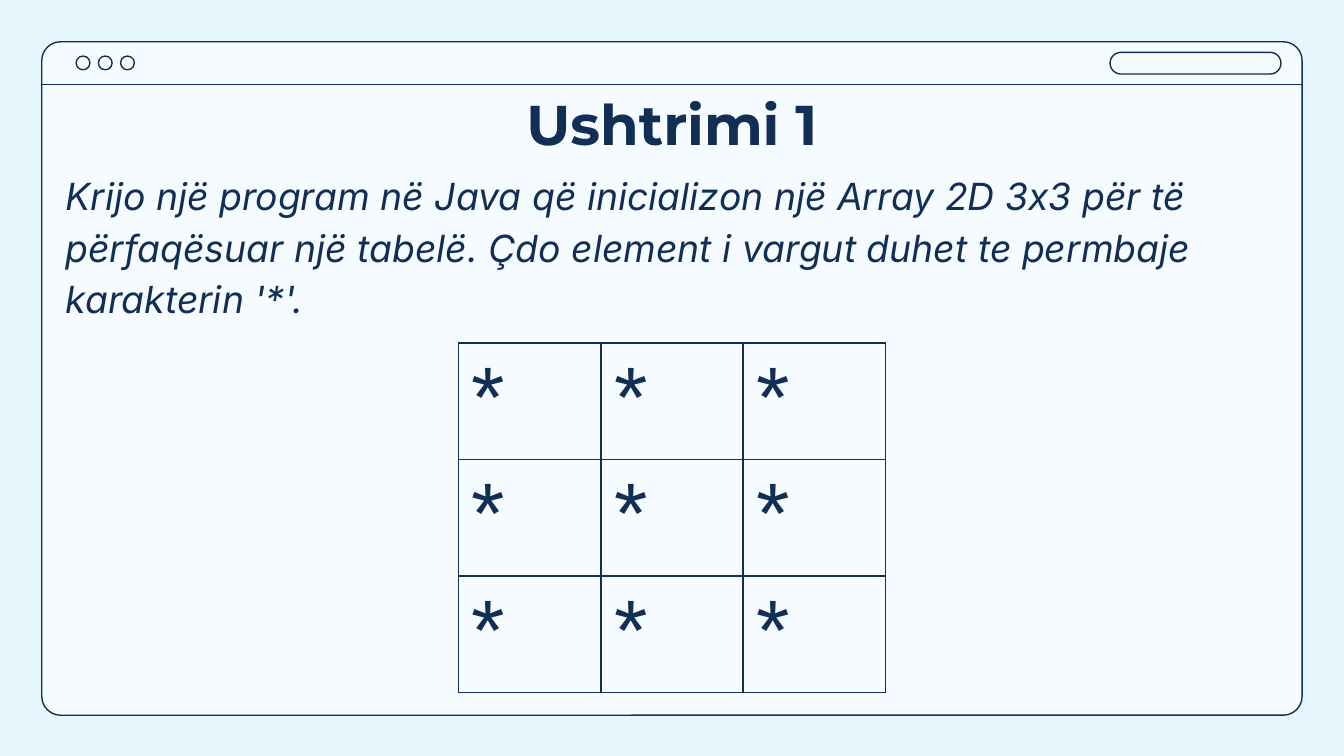
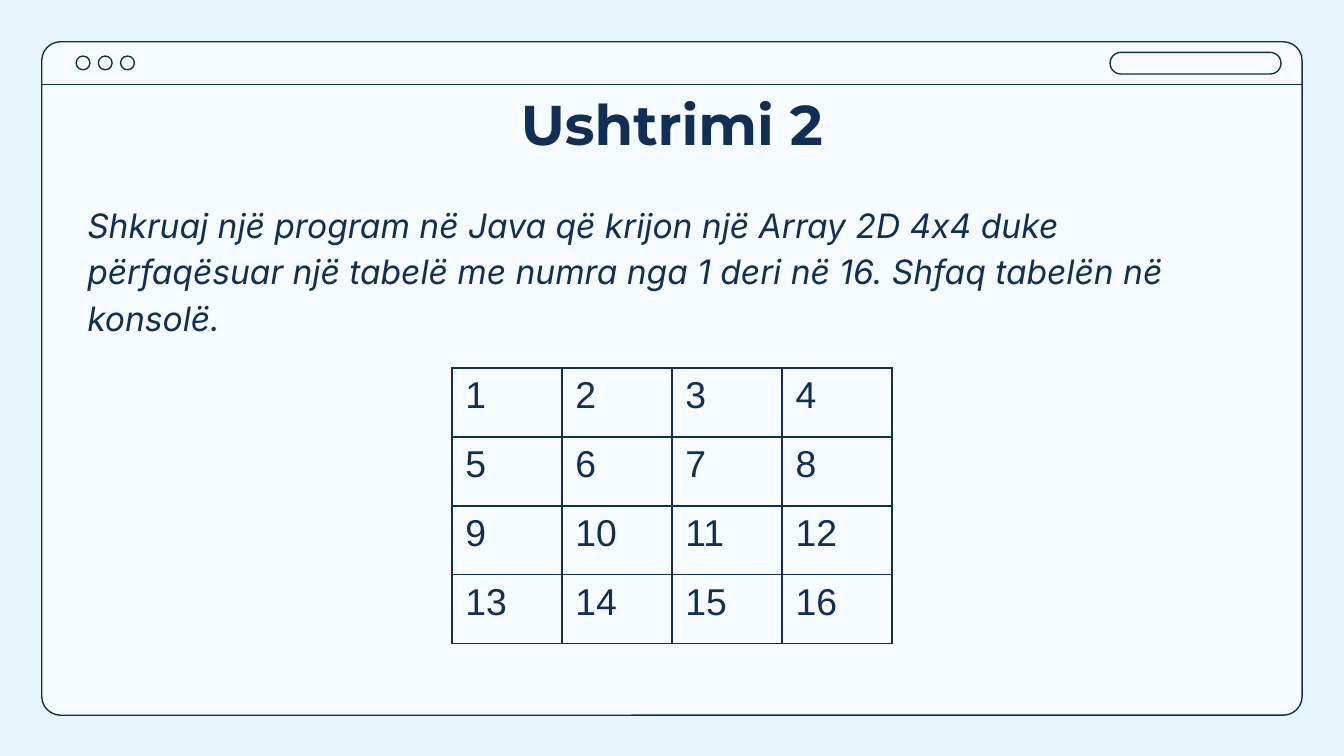
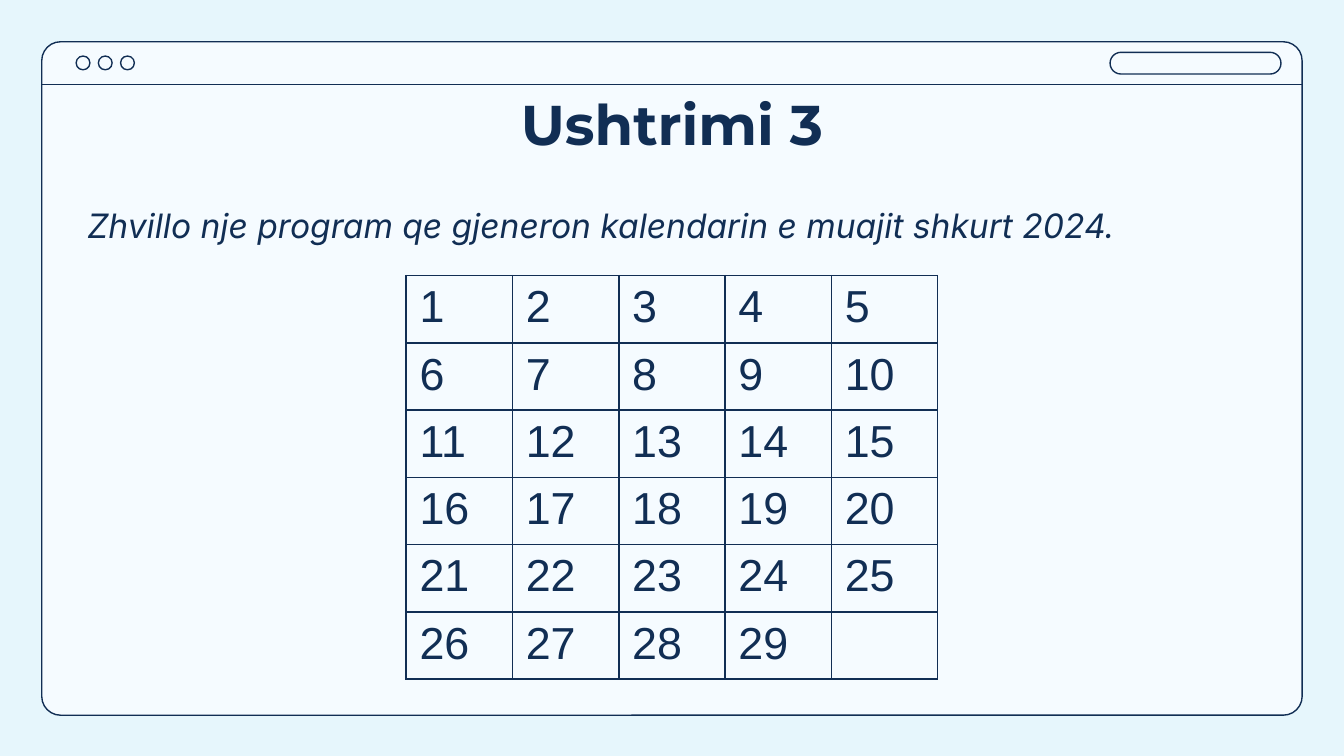
from dataclasses import dataclass

from lxml.etree import SubElement
from pptx import Presentation
from pptx.dml.color import RGBColor
from pptx.enum.shapes import MSO_CONNECTOR, MSO_SHAPE
from pptx.enum.text import MSO_ANCHOR, PP_ALIGN
from pptx.oxml.ns import qn
from pptx.util import Cm, Pt

# Shared style
NAVY = RGBColor(0x11, 0x2E, 0x54)
PAPER = RGBColor(0xF5, 0xFB, 0xFF)
SKY = RGBColor(0xE6, 0xF6, 0xFC)
TITLE_FONT, BODY_FONT, TABLE_FONT = "Montserrat", "Inter", "Arial"
SLIDE_W, SLIDE_H = 25.4, 14.29
MARGIN = 0.79
BAR_Y = 1.6


@dataclass
class Box:
    """Position and size in centimetres."""
    left: float
    top: float
    width: float
    height: float

    def lengths(self) -> tuple:
        return Cm(self.left), Cm(self.top), Cm(self.width), Cm(self.height)


@dataclass
class Grid:
    """A table of equal cells, centred across the slide."""
    values: list
    columns: int
    top: float
    col_width: float
    row_height: float
    size: int


@dataclass
class Exercise:
    title: str
    task: str
    task_box: Box
    task_size: int
    grid: Grid


TITLE_BOX = Box(2, 1.45, 21.4, 1.6)
TASK_BOX = Box(1.4, 3.51, 22.6, 2.74)

EXERCISES = [
    Exercise(
        "Ushtrimi 1",
        "Krijo një program në Java që inicializon një Array 2D 3x3 për të "
        "përfaqësuar një tabelë. Çdo element i vargut duhet te permbaje "
        "karakterin '*'.",
        Box(0.99, 2.9, 22.6, 3.12), 20,
        Grid(["*"] * 9, 3, 6.48, 2.69, 1.98, 46),
    ),
    Exercise(
        "Ushtrimi 2",
        "Shkruaj një program në Java që krijon një Array 2D 4x4 duke "
        "përfaqësuar një tabelë me numra nga 1 deri në 16. Shfaq tabelën në "
        "konsolë.",
        TASK_BOX, 18,
        Grid(list(range(1, 17)), 4, 6.96, 2.08, 1.3, 20),
    ),
    Exercise(
        "Ushtrimi 3",
        "Zhvillo nje program qe gjeneron kalendarin e muajit shkurt 2024.",
        TASK_BOX, 18,
        Grid(list(range(1, 30)), 5, 5.21, 2.01, 1.12, 24),
    ),
]


def add_outline(s, kind, box: Box, corner=None, fill=None) -> None:
    sp = s.shapes.add_shape(kind, *box.lengths())
    sp.shadow.inherit = False
    if corner is not None:
        sp.adjustments[0] = corner
    if fill is None:
        sp.fill.background()
    else:
        sp.fill.solid()
        sp.fill.fore_color.rgb = fill
    sp.line.color.rgb = NAVY
    sp.line.width = Pt(0.75)


def add_window(s) -> None:
    """Browser window: frame, buttons, address field and bar line."""
    frame = Box(MARGIN, MARGIN, SLIDE_W - 2 * MARGIN, 12.73)
    add_outline(s, MSO_SHAPE.ROUNDED_RECTANGLE, frame, 0.028, PAPER)
    for i in range(3):
        add_outline(s, MSO_SHAPE.OVAL, Box(1.44 + 0.42 * i, 1.06, 0.26, 0.26))
    add_outline(s, MSO_SHAPE.ROUNDED_RECTANGLE, Box(20.98, 0.99, 3.23, 0.41), 0.5)
    bar = s.shapes.add_connector(MSO_CONNECTOR.STRAIGHT, Cm(MARGIN), Cm(BAR_Y),
                                 Cm(SLIDE_W - MARGIN), Cm(BAR_Y))
    bar.line.color.rgb = NAVY
    bar.line.width = Pt(0.75)
    SubElement(bar.element.spPr, qn("a:effectLst"))


def add_run(p, text: str, font: str, size: int, bold=False, italic=False) -> None:
    r = p.add_run()
    r.text = text
    r.font.name = font
    r.font.size = Pt(size)
    r.font.bold = bold
    r.font.italic = italic
    r.font.color.rgb = NAVY


def add_text_box(s, box: Box):
    """Add an empty wrapped text box and return its first paragraph."""
    tf = s.shapes.add_textbox(*box.lengths()).text_frame
    tf.word_wrap = True
    tf.vertical_anchor = MSO_ANCHOR.TOP
    tf.margin_left = tf.margin_right = tf.margin_top = tf.margin_bottom = Cm(0.25)
    return tf.paragraphs[0]


def add_borders(cell) -> None:
    tc_pr = cell._tc.get_or_add_tcPr()
    for i, side in enumerate(("lnL", "lnR", "lnT", "lnB")):
        ln = tc_pr.makeelement(qn(f"a:{side}"), {"w": str(Pt(1))})
        fill = SubElement(ln, qn("a:solidFill"))
        SubElement(fill, qn("a:srgbClr"), val=str(NAVY))
        tc_pr.insert(i, ln)


def add_grid(s, grid: Grid) -> None:
    rows = -(-len(grid.values) // grid.columns)
    width = grid.columns * grid.col_width
    box = Box((SLIDE_W - width) / 2, grid.top, width, rows * grid.row_height)
    table = s.shapes.add_table(rows, grid.columns, *box.lengths()).table
    table.first_row = table.horz_banding = False
    for column in table.columns:
        column.width = Cm(grid.col_width)
    for row in table.rows:
        row.height = Cm(grid.row_height)
    for i, cell in enumerate(table.iter_cells()):
        cell.fill.background()
        add_borders(cell)
        if i < len(grid.values):
            p = cell.text_frame.paragraphs[0]
            add_run(p, str(grid.values[i]), TABLE_FONT, grid.size)


def add_exercise(prs, exercise: Exercise) -> None:
    s = prs.slides.add_slide(prs.slide_layouts[6])
    add_window(s)
    p = add_text_box(s, TITLE_BOX)
    p.alignment = PP_ALIGN.CENTER
    add_run(p, exercise.title, TITLE_FONT, 30, bold=True)
    p = add_text_box(s, exercise.task_box)
    p.line_spacing = 1.15
    add_run(p, exercise.task, BODY_FONT, exercise.task_size, italic=True)
    add_grid(s, exercise.grid)


def main() -> None:
    prs = Presentation()
    prs.slide_width, prs.slide_height = Cm(SLIDE_W), Cm(SLIDE_H)
    background = prs.slide_master.background.fill
    background.solid()
    background.fore_color.rgb = SKY
    for exercise in EXERCISES:
        add_exercise(prs, exercise)
    prs.save("out.pptx")


if __name__ == "__main__":
    main()
